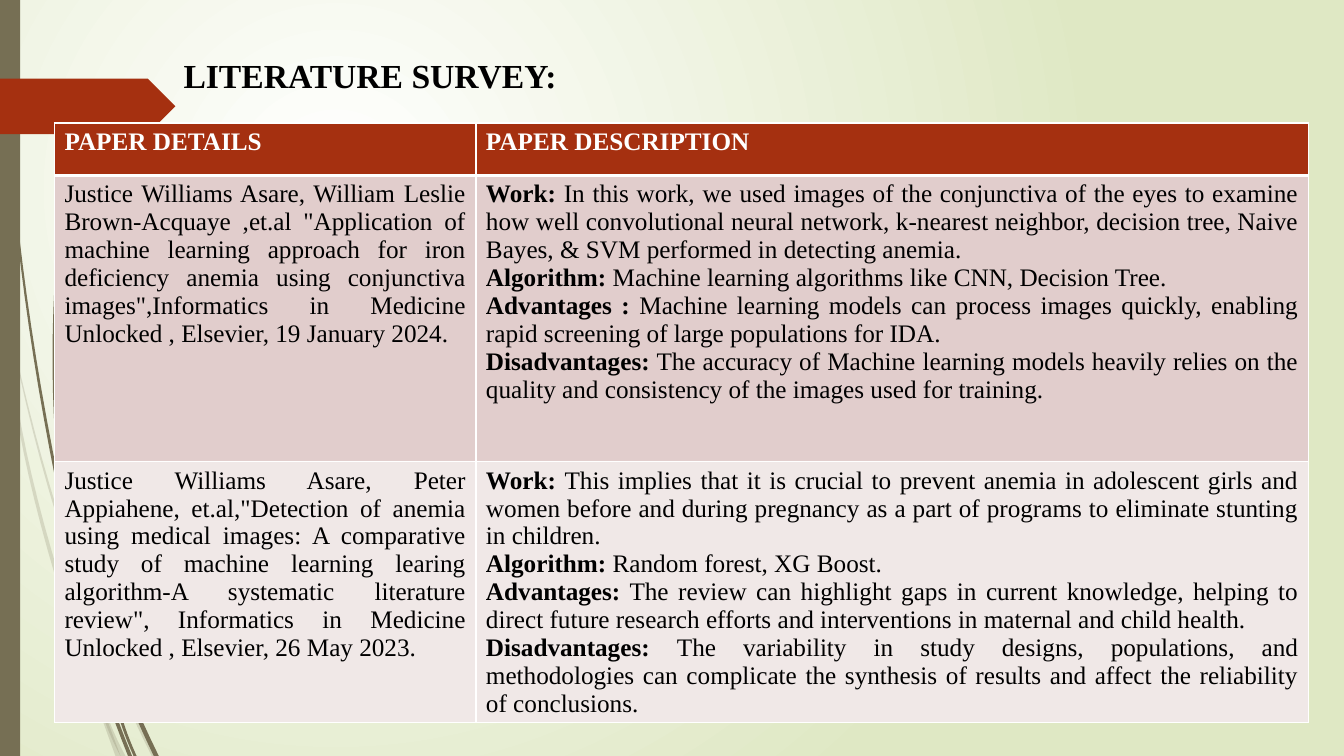
"""Build a literature survey slide: a table of papers over grass blades on pale green."""
from typing import NamedTuple

from lxml import etree
from pptx import Presentation
from pptx.dml.color import RGBColor
from pptx.enum.shapes import MSO_SHAPE
from pptx.enum.text import MSO_ANCHOR, PP_ALIGN
from pptx.oxml.ns import qn
from pptx.util import Inches, Pt

JUSTIFY, LEFT, MIDDLE = PP_ALIGN.JUSTIFY, PP_ALIGN.LEFT, MSO_ANCHOR.MIDDLE
RECTANGLE, PENTAGON = MSO_SHAPE.RECTANGLE, MSO_SHAPE.PENTAGON
FONT = "Times New Roman"
WHITE, BLACK, OLIVE, RUST, PALE_GREEN = "FFFFFF", "000000", "766F54", "A53010", "DFE8C4"
TITLE_ONLY = 5
SLIDE_WIDTH, SLIDE_HEIGHT = 13.33, 7.5
CURVE_STEPS = 16
FAINT, SOLID = 20, 100

Point = tuple[float, float]


class Blade(NamedTuple):
    """A grass blade curving from tip through middle to root, with its width at both ends."""
    tip: Point
    middle: Point
    root: Point
    tip_width: float
    root_width: float


class Row(NamedTuple):
    """One table row; each cell is a list of (bold label, plain text) lines."""
    height: float
    fill: str
    ink: str
    rule_below: float
    cells: list[list[tuple[str, str]]]


FAINT_STEM_JOINT = (.1, 3.5)
FAINT_KNOT, SOLID_KNOT = (.86, 5.9), (1.08, 6.32)
SOLID_STEM_JOINT = (.57, 4.78)
TUFTS = {
    FAINT: {
        "stem top": Blade((0, 2.9), (.05, 3.2), FAINT_STEM_JOINT, .03, .02),
        "stem": Blade(FAINT_STEM_JOINT, (.42, 5.2), (1.17, SLIDE_HEIGHT), .02, .05),
        "side shoot": Blade((.14, 3.45), (.73, 5.6), (1.53, SLIDE_HEIGHT), .01, .05),
        "leaf": Blade((3.12, 1.53), (1.59, 3.48), FAINT_KNOT, .01, .03),
        "leaf stalk": Blade(FAINT_KNOT, (.94, 6.75), (1.22, SLIDE_HEIGHT), .03, .05),
    },
    SOLID: {
        "stem top": Blade((.03, 0), (.18, 2.33), SOLID_STEM_JOINT, .01, .03),
        "stem": Blade(SOLID_STEM_JOINT, (.83, 6.13), (1.29, SLIDE_HEIGHT), .02, .04),
        "side shoot top": Blade((.7, 1.41), (.54, 3.07), (.59, 4.72), .01, .03),
        "side shoot": Blade((.59, 4.72), (.97, 6.1), (1.55, SLIDE_HEIGHT), .02, .05),
        "leaf": Blade((2.6, 3.44), (1.57, 4.75), SOLID_KNOT, .01, .03),
        "leaf stalk": Blade(SOLID_KNOT, (1.14, 6.91), (1.34, SLIDE_HEIGHT), .03, .03),
    },
}

COLUMN_WIDTHS = [4.18, 8.26]
ROWS = [
    Row(.52, RUST, WHITE, 3, [[("PAPER DETAILS", "")], [("PAPER DESCRIPTION", "")]]),
    Row(2.84, "E1CDCC", BLACK, 1, [
        [("", 'Justice Williams Asare, William Leslie Brown-Acquaye ,et.al "Application of machine '
              'learning approach for iron deficiency anemia using conjunctiva images",Informatics '
              'in Medicine Unlocked , Elsevier, 19 January 2024.')],
        [("Work:", " In this work, we used images of the conjunctiva of the eyes to examine how well "
                   "convolutional neural network, k-nearest neighbor, decision tree, Naive Bayes, "
                   "& SVM performed in detecting anemia."),
         ("Algorithm:", " Machine learning algorithms like CNN, Decision Tree."),
         ("Advantages : ", "Machine learning models can process images quickly, enabling rapid "
                           "screening of large populations for IDA."),
         ("Disadvantages:", " The accuracy of Machine learning models heavily relies on the quality "
                            "and consistency of the images used for training.")]]),
    Row(2.46, "F0E8E7", BLACK, 1, [
        [("", 'Justice Williams Asare, Peter Appiahene, et.al,"Detection of anemia using medical '
              'images: A comparative study of machine learning learing algorithm-A systematic '
              'literature review", Informatics in Medicine Unlocked , Elsevier, 26 May 2023.')],
        [("Work: ", "This implies that it is crucial to prevent anemia in adolescent girls and women "
                    "before and during pregnancy as a part of programs to eliminate stunting in "
                    "children."),
         ("Algorithm: ", "Random forest, XG Boost."),
         ("Advantages:", " The review can highlight gaps in current knowledge, helping to direct "
                         "future research efforts and interventions in maternal and child health."),
         ("Disadvantages: ", "The variability in study designs, populations, and methodologies can "
                             "complicate the synthesis of results and affect the reliability of "
                             "conclusions.")]]),
]


def paint(color_format, hex_color: str) -> None:
    color_format.rgb = RGBColor.from_string(hex_color)


def fill_solid(fill, hex_color: str) -> None:
    fill.solid()
    paint(fill.fore_color, hex_color)


def fill_flat(shape, hex_color: str) -> None:
    shape.shadow.inherit = False
    shape.line.fill.background()
    fill_solid(shape.fill, hex_color)


def add_run(paragraph, text: str, size: float, ink: str, bold: bool) -> None:
    run = paragraph.add_run()
    run.text = text
    for attribute, value in {"name": FONT, "size": Pt(size), "bold": bold}.items():
        setattr(run.font, attribute, value)
    paint(run.font.color, ink)


def paint_background(slide) -> None:
    fill = slide.background.fill
    fill.gradient()
    for stop, hex_color in zip(fill.gradient_stops, (WHITE, PALE_GREEN)):
        paint(stop.color, hex_color)
    linear = next(slide.element.iter(qn("a:lin")))
    radial = etree.Element(qn("a:path"), path="circle")
    etree.SubElement(radial, qn("a:fillToRect"), l="50000", t="50000", r="100000", b="100000")
    linear.getparent().replace(linear, radial)


def curve_value(start: float, middle: float, end: float, t: float) -> float:
    control = 2 * middle - (start + end) / 2
    return (1 - t) ** 2 * start + 2 * t * (1 - t) * control + t ** 2 * end


def blade_outline(blade: Blade) -> list[tuple[int, int]]:
    left_edge, right_edge = [], []
    for step in range(CURVE_STEPS + 1):
        t = step / CURVE_STEPS
        x, y = (curve_value(*ends, t) for ends in zip(blade.tip, blade.middle, blade.root))
        half = (blade.tip_width + (blade.root_width - blade.tip_width) * t) / 2
        left_edge.append((Inches(max(x - half, 0)), Inches(y)))
        right_edge.append((Inches(x + half), Inches(y)))
    return left_edge + right_edge[::-1]


def draw_blade(slide, blade: Blade, opacity: int) -> None:
    start, *others = blade_outline(blade)
    builder = slide.shapes.build_freeform(*start)
    builder.add_line_segments(others, close=True)
    shape = builder.convert_to_shape()
    fill_flat(shape, OLIVE)
    color = next(shape.element.spPr.iter(qn("a:srgbClr")))
    etree.SubElement(color, qn("a:alpha"), val=str(opacity * 1000))


def draw_backdrop(slide) -> None:
    for opacity, tuft in TUFTS.items():
        for blade in tuft.values():
            draw_blade(slide, blade, opacity)
    side_bar = slide.shapes.add_shape(RECTANGLE, 0, 0, Inches(.2), Inches(SLIDE_HEIGHT))
    fill_flat(side_bar, OLIVE)
    title_arrow = slide.shapes.add_shape(PENTAGON, 0, Inches(.78), Inches(1.74), Inches(.55))
    fill_flat(title_arrow, RUST)


def draw_title(slide) -> None:
    title = slide.shapes.title
    box = {"left": 1.72, "top": .48, "width": 6.67, "height": .53}
    for attribute, value in box.items():
        setattr(title, attribute, Inches(value))
    title.text_frame.vertical_anchor = MIDDLE
    heading = title.text_frame.paragraphs[0]
    heading.alignment = LEFT
    add_run(heading, "LITERATURE SURVEY:", 24, BLACK, True)


def draw_borders(cell, widths: dict[str, float]) -> None:
    properties = cell._tc.get_or_add_tcPr()
    for side, width in widths.items():
        line = etree.SubElement(properties, qn(f"a:ln{side}"), w=str(Pt(width)))
        solid = etree.SubElement(line, qn("a:solidFill"))
        etree.SubElement(solid, qn("a:srgbClr"), val=WHITE)


def fill_cell(cell, entries: list[tuple[str, str]], row: Row, rule_above: float) -> None:
    draw_borders(cell, {"L": 1, "R": 1, "T": rule_above, "B": row.rule_below})
    fill_solid(cell.fill, row.fill)
    frame = cell.text_frame
    for index, entry in enumerate(entries):
        paragraph = frame.add_paragraph() if index else frame.paragraphs[0]
        paragraph.alignment = JUSTIFY
        for text, bold in zip(entry, (True, False)):
            if text:
                add_run(paragraph, text, 18, row.ink, bold)


def draw_papers(slide) -> None:
    height = sum(row.height for row in ROWS)
    papers = slide.shapes.add_table(len(ROWS), len(COLUMN_WIDTHS), Inches(.54), Inches(1.22),
                                    Inches(sum(COLUMN_WIDTHS)), Inches(height)).table
    for column, width in zip(papers.columns, COLUMN_WIDTHS):
        column.width = Inches(width)
    rule_above = 1
    for table_row, row in zip(papers.rows, ROWS):
        table_row.height = Inches(row.height)
        for cell, entries in zip(table_row.cells, row.cells):
            fill_cell(cell, entries, row, rule_above)
        rule_above = row.rule_below


def main() -> None:
    deck = Presentation()
    deck.slide_width, deck.slide_height = Inches(SLIDE_WIDTH), Inches(SLIDE_HEIGHT)
    slide = deck.slides.add_slide(deck.slide_layouts[TITLE_ONLY])
    for draw in (paint_background, draw_backdrop, draw_title, draw_papers):
        draw(slide)
    deck.save("out.pptx")


if __name__ == "__main__":
    main()
